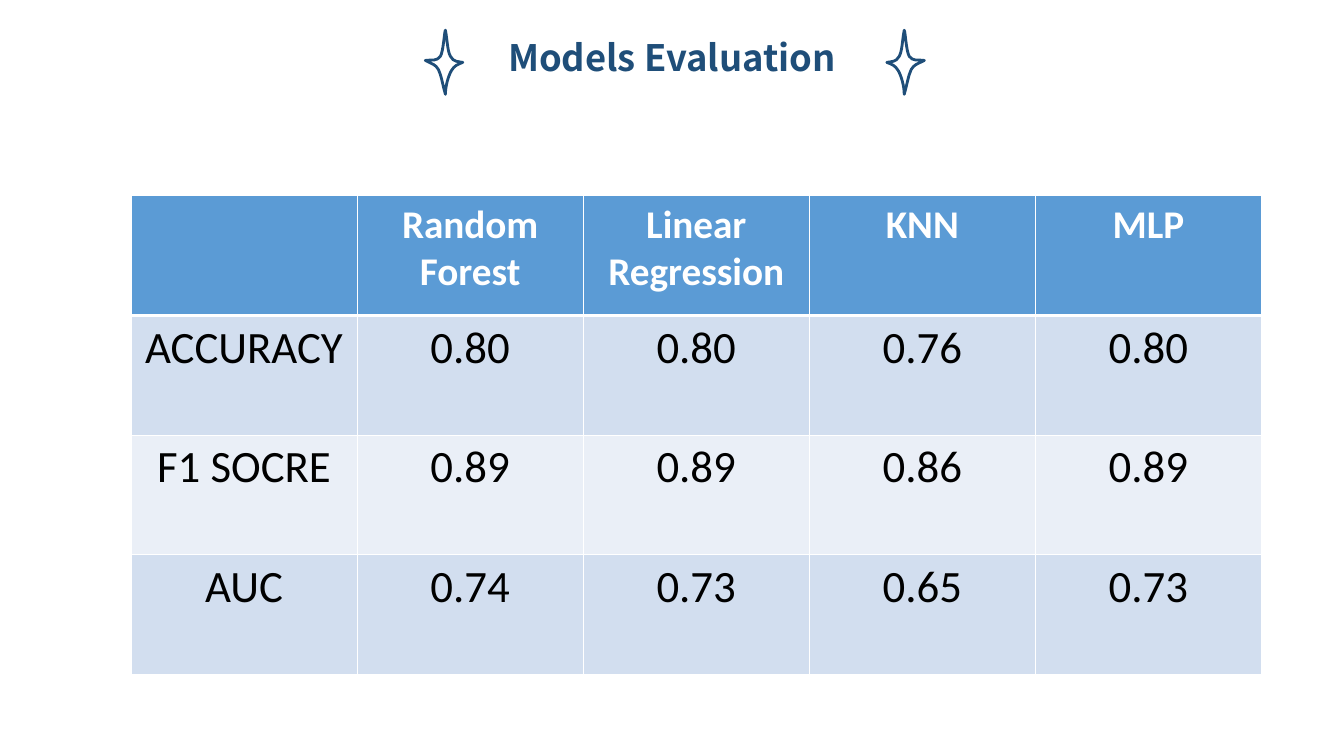
"""Build the Models Evaluation slide with a star-flanked title and a score table."""
from dataclasses import dataclass

from lxml import etree
from pptx import Presentation
from pptx import util as u
from pptx.dml.color import RGBColor
from pptx.enum import text
from pptx.oxml.ns import qn

COLORS = {
    "navy": "1F4E79",
    "header": "5B9BD5",
    "band_dark": "D2DEEF",
    "band_light": "EAEFF7",
    "white": "FFFFFF",
    "black": "000000",
}

Point = tuple[float, float]


@dataclass(frozen=True)
class Star:
    left: float
    top: float
    mirrored: bool = False


@dataclass(frozen=True)
class TextStyle:
    name: str
    size: float
    color: str
    bold: bool = False


@dataclass(frozen=True)
class ScoreRow:
    cells: tuple[str, ...]
    fill: str
    style: TextStyle
    top_border: float = 1
    bottom_border: float = 1


TITLE_STYLE = TextStyle("Noto Sans CJK JP", 26, "navy", True)
HEADER_STYLE = TextStyle("Calibri", 28, "white", True)
BODY_STYLE = TextStyle("Calibri", 32, "black")

STARS = [Star(303.8, 21.6), Star(633.5, 21.6, mirrored=True)]
STAR_WIDTH = 26.8
STAR_START = (14.4, 45.8)
STAR_CURVES = [
    ((12.2, 38.2), (11.5, 32.4), (9.4, 28.1)),
    ((7.2, 24.5), (5.8, 24.5), (0, 21.6)),
    ((5.8, 20.9), (7.9, 22.3), (10.8, 18.7)),
    ((13, 15.1), (13.7, 0), (14.4, 0)),
    ((15.8, 7.2), (15.8, 15.1), (18, 18.7)),
    ((20.2, 23), (23.8, 22.3), (STAR_WIDTH, 23)),
    ((23, 24.5), (20.9, 25.2), (18.7, 28.8)),
    ((16.6, 32.4), (14.4, 39.6), STAR_START),
]

ROWS = [
    ScoreRow(("", "Random Forest", "Linear Regression", "KNN", "MLP"),
             "header", HEADER_STYLE, bottom_border=3),
    ScoreRow(("ACCURACY", "0.80", "0.80", "0.76", "0.80"),
             "band_dark", BODY_STYLE, top_border=3),
    ScoreRow(("F1 SOCRE", "0.89", "0.89", "0.86", "0.89"), "band_light", BODY_STYLE),
    ScoreRow(("AUC", "0.74", "0.73", "0.65", "0.73"), "band_dark", BODY_STYLE),
]
COLUMN_WIDTH = 161.5
ROW_HEIGHT = 85.5


def rgb(name: str) -> RGBColor:
    return RGBColor.from_string(COLORS[name])


def apply_format(target, values: dict) -> None:
    for name, value in values.items():
        setattr(target, name, value)


def write_text(paragraph, content: str, style: TextStyle) -> None:
    paragraph.alignment = text.PP_ALIGN.CENTER
    font = paragraph.add_run().font if content else paragraph.font
    if content:
        paragraph.runs[0].text = content
    apply_format(font, {"name": style.name, "size": u.Pt(style.size), "bold": style.bold})
    font.color.rgb = rgb(style.color)


def star_point(star: Star, point: Point) -> tuple[int, int]:
    x, y = point
    return u.Pt(STAR_WIDTH - x if star.mirrored else x), u.Pt(y)


def add_star(slide, star: Star) -> None:
    builder = slide.shapes.build_freeform(*star_point(star, STAR_START))
    builder.add_line_segments([star_point(star, curve[-1]) for curve in STAR_CURVES])
    shape = builder.convert_to_shape(u.Pt(star.left), u.Pt(star.top))
    segments = list(shape.element.iter(qn("a:lnTo")))
    for segment, curve in zip(segments, STAR_CURVES):
        segment.tag = qn("a:cubicBezTo")
        for index, control in enumerate(curve[:2]):
            x, y = star_point(star, control)
            segment.insert(index, segment.makeelement(qn("a:pt"), {"x": str(x), "y": str(y)}))
    shape.shadow.inherit = False
    shape.fill.background()
    shape.line.color.rgb = rgb("navy")
    shape.line.width = u.Pt(2)


def add_title(slide) -> None:
    box = slide.shapes.add_textbox(u.Pt(329), u.Pt(25.2), u.Pt(302.4), u.Pt(38.9))
    apply_format(box.text_frame, {"word_wrap": True, "margin_top": 0, "margin_bottom": 0})
    write_text(box.text_frame.paragraphs[0], "Models Evaluation", TITLE_STYLE)


def add_borders(cell, row: ScoreRow) -> None:
    properties = cell._tc.get_or_add_tcPr()
    widths = {"lnL": 1, "lnR": 1, "lnT": row.top_border, "lnB": row.bottom_border}
    for side, width in widths.items():
        line = etree.SubElement(properties, qn(f"a:{side}"), w=str(u.Pt(width)))
        fill = etree.SubElement(line, qn("a:solidFill"))
        etree.SubElement(fill, qn("a:srgbClr"), val=COLORS["white"])


def add_score_table(slide) -> None:
    column_count = len(ROWS[0].cells)
    table = slide.shapes.add_table(
        len(ROWS), column_count, u.Pt(93.6), u.Pt(139.8),
        u.Pt(COLUMN_WIDTH * column_count), u.Pt(ROW_HEIGHT * len(ROWS))).table
    for column in table.columns:
        column.width = u.Pt(COLUMN_WIDTH)
    for table_row, row in zip(table.rows, ROWS):
        table_row.height = u.Pt(ROW_HEIGHT)
        for cell, content in zip(table_row.cells, row.cells):
            add_borders(cell, row)
            cell.fill.solid()
            cell.fill.fore_color.rgb = rgb(row.fill)
            write_text(cell.text_frame.paragraphs[0], content, row.style)


def main() -> None:
    presentation = Presentation()
    apply_format(presentation, {"slide_width": u.Pt(960), "slide_height": u.Pt(540)})
    slide = presentation.slides.add_slide(presentation.slide_layouts[6])
    add_title(slide)
    for star in STARS:
        add_star(slide, star)
    add_score_table(slide)
    presentation.save("out.pptx")


if __name__ == "__main__":
    main()
